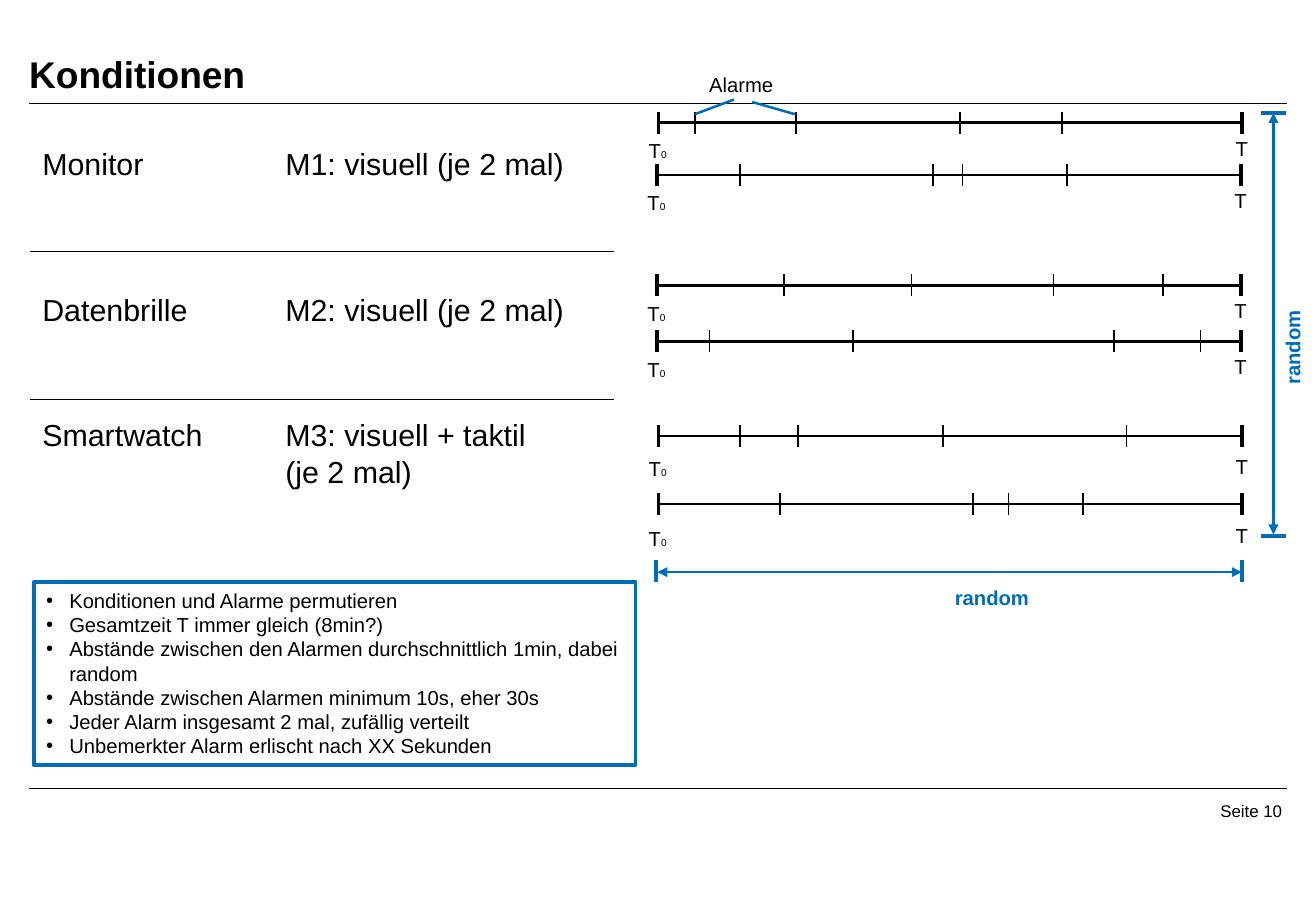
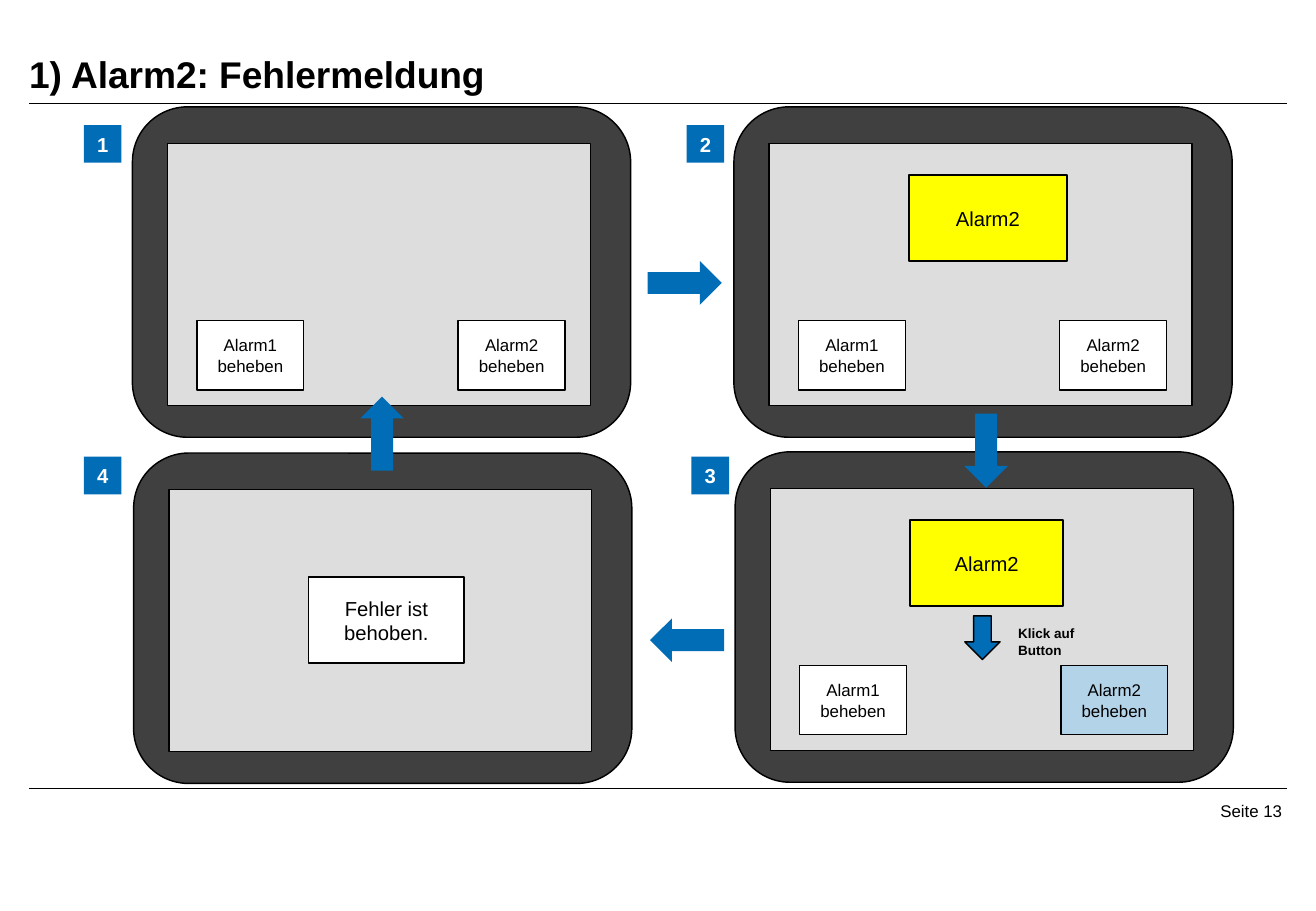
from dataclasses import dataclass
from typing import Optional

from lxml.etree import SubElement
from pptx import Presentation
from pptx.dml.color import RGBColor
from pptx.enum.shapes import MSO_CONNECTOR, MSO_SHAPE
from pptx.enum.text import MSO_ANCHOR, MSO_AUTO_SIZE, PP_ALIGN
from pptx.oxml.ns import qn
from pptx.util import Pt

# Shared look
PX = 9144  # EMU per px, 100 px to the inch
FONT = "Arial"
LEADING = 1.2
THIN, TICK, MID, BOLD = 0.85, 1, 1.5, 2.25
BLACK = RGBColor(0x00, 0x00, 0x00)
WHITE = RGBColor(0xFF, 0xFF, 0xFF)
BLUE = RGBColor(0x00, 0x6D, 0xB6)
PALE = RGBColor(0xB3, 0xD3, 0xE9)
DARK = RGBColor(0x40, 0x40, 0x40)
GREY = RGBColor(0xDD, 0xDD, 0xDD)
YELLOW = RGBColor(0xFF, 0xFF, 0x00)


@dataclass
class Box:
    x: int
    y: int
    w: int
    h: int

    def emu(self) -> tuple[int, int, int, int]:
        return self.x * PX, self.y * PX, self.w * PX, self.h * PX


@dataclass
class Axis:
    x: int
    y: int
    ticks: tuple[int, ...]
    drop: int = 8


@dataclass
class Row:
    y: int
    name: str
    mode: str


@dataclass
class Card:
    text: str
    dy: int
    w: int
    fill: RGBColor


@dataclass
class Pane:
    x: int
    y: int
    num: str
    mark: tuple[int, int]
    card: Optional[Card] = None
    keys: tuple[RGBColor, ...] = ()


@dataclass
class Arrow:
    x: int
    y: int
    turn: int


AXES = (
    Axis(542, 101, (572, 655, 790, 874)),
    Axis(541, 144, (609, 768, 792, 878)),
    Axis(541, 235, (645, 750, 867, 957)),
    Axis(541, 281, (584, 702, 917, 988)),
    Axis(542, 359, (609, 657, 776, 927), 12),
    Axis(542, 415, (642, 801, 830, 891), 13),
)
ROWS = (
    Row(115, "Monitor", "M1: visuell (je 2 mal)"),
    Row(235, "Datenbrille", "M2: visuell (je 2 mal)"),
    Row(338, "Smartwatch", "M3: visuell + taktil\n(je 2 mal)"),
)
NOTES = (
    "Konditionen und Alarme permutieren",
    "Gesamtzeit T immer gleich (8min?)",
    "Abstände zwischen den Alarmen durchschnittlich 1min, dabei random",
    "Abstände zwischen Alarmen minimum 10s, eher 30s",
    "Jeder Alarm insgesamt 2 mal, zufällig verteilt",
    "Unbemerkter Alarm erlischt nach XX Sekunden",
)
PANES = (
    Pane(109, 88, "1", (69, 103), keys=(WHITE, WHITE)),
    Pane(604, 88, "2", (565, 103), Card("Alarm2", 56, 130, YELLOW), (WHITE, WHITE)),
    Pane(605, 372, "3", (569, 376), Card("Alarm2", 56, 126, YELLOW), (WHITE, PALE)),
    Pane(110, 373, "4", (69, 376), Card("Fehler ist behoben.", 102, 128, WHITE)),
)
ARROWS = (
    Arrow(533, 215, 0),
    Arrow(781, 353, 90),
    Arrow(535, 509, 180),
    Arrow(284, 339, 270),
)


# Drawing helpers
def style(frame, size: int, color=BLACK, bold=False, align=PP_ALIGN.LEFT) -> None:
    frame.word_wrap = True
    frame.auto_size = MSO_AUTO_SIZE.NONE
    for para in frame.paragraphs:
        para.alignment = align
        para.line_spacing = Pt(size * LEADING)
        para.space_before = para.space_after = Pt(0)
        for run in para.runs:
            font = run.font
            font.name, font.size, font.bold = FONT, Pt(size), bold
            font.color.rgb = color


def inset(frame, left=0, top=0, right=0, bottom=0) -> None:
    frame.margin_left, frame.margin_top = left * PX, top * PX
    frame.margin_right, frame.margin_bottom = right * PX, bottom * PX


def place(shape, box: Box) -> None:
    shape.left, shape.top, shape.width, shape.height = box.emu()


def label(slide, box: Box, text: str, size=12, **look):
    shape = slide.shapes.add_textbox(*box.emu())
    shape.text_frame.text = text
    style(shape.text_frame, size, **look)
    return shape


def block(slide, kind, box: Box, fill: RGBColor, edge=True):
    shape = slide.shapes.add_shape(kind, *box.emu())
    shape.shadow.inherit = False
    shape.fill.solid()
    shape.fill.fore_color.rgb = fill
    if edge:
        shape.line.color.rgb = BLACK
        shape.line.width = Pt(THIN)
    else:
        shape.line.fill.background()
    return shape


def panel(slide, box: Box, fill: RGBColor, text: str, size=12) -> None:
    frame = block(slide, MSO_SHAPE.RECTANGLE, box, fill).text_frame
    frame.text = text
    frame.vertical_anchor = MSO_ANCHOR.MIDDLE
    style(frame, size, align=PP_ALIGN.CENTER)


def line(slide, x1: int, y1: int, x2: int, y2: int,
         width=THIN, color=BLACK, heads=False) -> None:
    link = slide.shapes.add_connector(
        MSO_CONNECTOR.STRAIGHT, x1 * PX, y1 * PX, x2 * PX, y2 * PX)
    link.line.color.rgb = color
    link.line.width = Pt(width)
    if heads:
        for end in ("a:headEnd", "a:tailEnd"):
            SubElement(link.line._ln, qn(end)).set("type", "triangle")
    SubElement(link._element.spPr, qn("a:effectLst"))


def start(deck, layout: int, title: str, page: int):
    """Add a slide with title, both rules and page number."""
    slide = deck.slides.add_slide(deck.slide_layouts[layout])
    head = slide.shapes.title
    place(head, Box(24, 0, 1035, 79))
    frame = head.text_frame
    frame.text = title
    frame.vertical_anchor = MSO_ANCHOR.BOTTOM
    inset(frame, right=31)
    style(frame, 22, bold=True)
    for y in (85, 649):
        line(slide, 24, y, 1059, y)
    foot = label(slide, Box(914, 655, 145, 35), f"Seite {page}", 10, align=PP_ALIGN.RIGHT)
    inset(foot.text_frame, 4, 4, 4)
    return slide


# Slide parts
def scale(slide, axis: Axis) -> None:
    x, y, end = axis.x, axis.y, axis.x + 480
    line(slide, x, y, end, y, MID)
    for tick in axis.ticks:
        line(slide, tick, y - 9, tick, y + 9, TICK)
    for edge in (x, end):
        line(slide, edge, y - 9, edge, y + 9, BOLD)
    first = label(slide, Box(x - 18, y + axis.drop, 45, 30), "T")
    zero = first.text_frame.paragraphs[0].add_run()
    zero.text = "0"
    zero.font.name, zero.font.size = FONT, Pt(6)
    zero.font.color.rgb = BLACK
    label(slide, Box(end - 15, y + axis.drop - 2, 45, 30), "T")


def list_notes(slide) -> None:
    body = slide.placeholders[1]
    place(body, Box(28, 479, 495, 151))
    body.line.color.rgb = BLUE
    body.line.width = Pt(BOLD)
    frame = body.text_frame
    frame.text = "\n".join(NOTES)
    inset(frame, 10, 5, 10, 5)
    style(frame, 12)
    for para in frame.paragraphs:
        props = para._p.get_or_add_pPr()
        props.set("marL", str(19 * PX))
        props.set("indent", str(-19 * PX))


def span(slide) -> None:
    """Blue measures below and beside the time axes."""
    line(slide, 541, 471, 1022, 471, MID, BLUE, True)
    for x in (540, 1022):
        line(slide, x, 461, x, 479, BOLD, BLUE)
    line(slide, 1048, 440, 1048, 93, MID, BLUE, True)
    for y in (93, 441):
        line(slide, 1038, y, 1058, y, BOLD, BLUE)
    label(slide, Box(776, 477, 86, 30), "random", color=BLUE, bold=True)
    side = label(slide, Box(1013, 256, 106, 35), "random", color=BLUE, bold=True)
    side.rotation = 270


def screen(slide, pane: Pane) -> None:
    x, y = pane.x, pane.y
    block(slide, MSO_SHAPE.ROUNDED_RECTANGLE, Box(x, y, 410, 272), DARK)
    block(slide, MSO_SHAPE.RECTANGLE, Box(x + 29, y + 30, 348, 216), GREY)
    card = pane.card
    if card:
        panel(slide, Box(x + 144, y + card.dy, card.w, 71), card.fill, card.text)
    for i, fill in enumerate(pane.keys):
        key = Box(x + 53 + 215 * i, y + 176, 88, 57)
        panel(slide, key, fill, f"Alarm{i + 1} beheben", 10)
    badge = block(slide, MSO_SHAPE.RECTANGLE, Box(*pane.mark, 31, 31), BLUE, False)
    frame = badge.text_frame
    frame.text = pane.num
    frame.vertical_anchor = MSO_ANCHOR.MIDDLE
    inset(frame)
    style(frame, 12, WHITE, True, PP_ALIGN.CENTER)


# Slides
def add_terms(deck) -> None:
    slide = start(deck, 1, "Konditionen", 10)
    for row in ROWS:
        label(slide, Box(25, row.y, 200, 40), row.name, 18)
        label(slide, Box(225, row.y, 280, 70), row.mode, 18)
    for y in (207, 329):
        line(slide, 25, y, 505, y)
    list_notes(slide)
    for axis in AXES:
        scale(slide, axis)
    label(slide, Box(572, 55, 76, 30), "Alarme", align=PP_ALIGN.CENTER)
    line(slide, 619, 84, 654, 94, MID, BLUE)
    line(slide, 604, 82, 572, 94, MID, BLUE)
    span(slide)


def add_flow(deck) -> None:
    slide = start(deck, 5, "1) Alarm2: Fehlermeldung", 13)
    for pane in PANES:
        screen(slide, pane)
    for arrow in ARROWS:
        box = Box(arrow.x, arrow.y, 61, 36)
        block(slide, MSO_SHAPE.RIGHT_ARROW, box, BLUE, False).rotation = arrow.turn
    block(slide, MSO_SHAPE.DOWN_ARROW, Box(794, 507, 29, 36), BLUE)
    label(slide, Box(828, 510, 70, 37), "Klick auf Button", 8, bold=True)


def main() -> None:
    deck = Presentation()
    deck.slide_width, deck.slide_height = 1083 * PX, 750 * PX
    add_terms(deck)
    add_flow(deck)
    deck.save("out.pptx")


if __name__ == "__main__":
    main()
